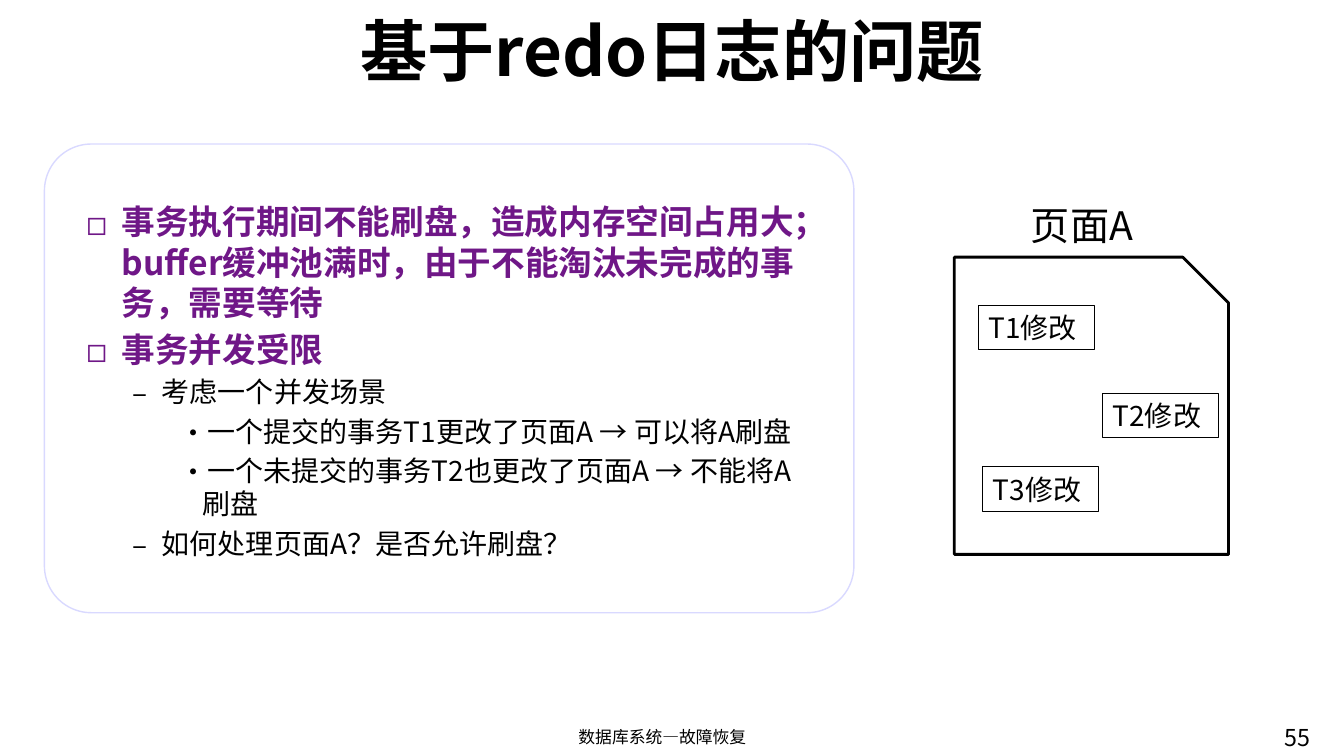
from dataclasses import dataclass
from typing import NamedTuple, Optional

from lxml.etree import SubElement
from pptx import Presentation
from pptx.dml.color import RGBColor
from pptx.enum.shapes import MSO_SHAPE
from pptx.enum.text import MSO_ANCHOR, PP_ALIGN
from pptx.oxml.ns import qn
from pptx.util import Cm, Pt


@dataclass(frozen=True)
class Theme:
    font: str = "Noto Sans CJK SC"
    black: RGBColor = RGBColor(0x00, 0x00, 0x00)
    white: RGBColor = RGBColor(0xFF, 0xFF, 0xFF)
    purple: RGBColor = RGBColor(0x6F, 0x17, 0x87)
    lavender: RGBColor = RGBColor(0xD9, 0xD9, 0xFF)
    title: float = 48
    label: float = 28
    point: float = 24
    body: float = 20
    number: float = 16.6
    footer: float = 12


THEME = Theme()


class Area(NamedTuple):
    left: float
    top: float
    width: float
    height: float

    def lengths(self) -> list[Cm]:
        return [Cm(value) for value in self]


@dataclass(frozen=True)
class Caption:
    text: str
    area: Area
    size: float
    bold: bool = False
    align: PP_ALIGN = PP_ALIGN.LEFT
    anchor: MSO_ANCHOR = MSO_ANCHOR.TOP


@dataclass(frozen=True)
class Level:
    bullet: str
    margin: float
    hanging: float
    size: float
    color: RGBColor
    bold: bool = False


@dataclass(frozen=True)
class Change:
    transaction: str
    left: float
    top: float


LEVELS = [
    Level("◻", 0.89, 0.89, THEME.point, THEME.purple, True),
    Level("–", 1.9, 0.74, THEME.body, THEME.black),
    Level("•", 2.92, 0.58, THEME.body, THEME.black),
]
POINTS = [
    (0, "事务执行期间不能刷盘，造成内存空间占用大；buffer缓冲池满时，由于不能淘汰未完成的事务，需要等待"),
    (0, "事务并发受限"),
    (1, "考虑一个并发场景"),
    (2, "一个提交的事务T1更改了页面A → 可以将A刷盘"),
    (2, "一个未提交的事务T2也更改了页面A → 不能将A刷盘"),
    (1, "如何处理页面A？是否允许刷盘？"),
]
CAPTIONS = [
    Caption("基于redo日志的问题", Area(2.92, 0.3, 28.04, 1.88), THEME.title,
            True, PP_ALIGN.CENTER, MSO_ANCHOR.MIDDLE),
    Caption("页面A", Area(25.73, 4.95, 4.09, 1.45), THEME.label),
    Caption("数据库系统—故障恢复", Area(11.35, 18.19, 10.69, 0.86), THEME.footer,
            align=PP_ALIGN.CENTER),
    Caption("55", Area(32.13, 18.11, 1.7, 0.9), THEME.number),
]
CHANGES = [Change("T1", 24.66, 7.7), Change("T2", 27.79, 9.91), Change("T3", 24.77, 11.76)]
CHANGE_WIDTH, CHANGE_HEIGHT = 2.92, 1.12
BODY_AREA = Area(1.93, 4.95, 18.77, 13.89)
PANEL_AREA = Area(1.12, 3.63, 20.4, 11.81)
PAGE_AREA = Area(24.05, 6.48, 6.91, 7.49)


def add_span(para, text: str, size: float, color: RGBColor = THEME.black,
             bold: bool = False) -> None:
    span = para.add_run()
    span.text = text
    span.font.name = THEME.font
    span.font.size = Pt(size)
    span.font.bold = bold
    span.font.color.rgb = color
    # East Asian glyphs take their font from a separate element.
    SubElement(span.font._element, qn("a:ea"), typeface=THEME.font)


def add_shape(page, kind: MSO_SHAPE, area: Area, line: RGBColor, weight: float,
              fill: Optional[RGBColor] = None):
    shape = page.shapes.add_shape(kind, *area.lengths())
    shape.shadow.inherit = False
    if fill is None:
        shape.fill.background()
    else:
        shape.fill.solid()
        shape.fill.fore_color.rgb = fill
    shape.line.color.rgb = line
    shape.line.width = Pt(weight)
    return shape


def add_caption(page, caption: Caption) -> None:
    box = page.shapes.add_textbox(*caption.area.lengths())
    box.text_frame.word_wrap = True
    box.text_frame.vertical_anchor = caption.anchor
    para = box.text_frame.paragraphs[0]
    para.alignment = caption.align
    add_span(para, caption.text, caption.size, bold=caption.bold)


def set_bullet(para, level: Level) -> None:
    properties = para._p.get_or_add_pPr()
    properties.set("marL", str(int(Cm(level.margin))))
    properties.set("indent", str(-int(Cm(level.hanging))))
    SubElement(properties, qn("a:buFont"), typeface=THEME.font)
    SubElement(properties, qn("a:buChar"), char=level.bullet)


def add_points(page) -> None:
    box = page.shapes.add_textbox(*BODY_AREA.lengths())
    frame = box.text_frame
    frame.word_wrap = True
    for index, (depth, text) in enumerate(POINTS):
        level = LEVELS[depth]
        para = frame.add_paragraph() if index else frame.paragraphs[0]
        para.level = depth
        set_bullet(para, level)
        if index:
            para.space_before = Pt(level.size * 0.2)
        add_span(para, text, level.size, level.color, level.bold)


def add_change(page, change: Change) -> None:
    area = Area(change.left, change.top, CHANGE_WIDTH, CHANGE_HEIGHT)
    box = add_shape(page, MSO_SHAPE.RECTANGLE, area, THEME.black, 0.75)
    box.text_frame.word_wrap = False
    box.text_frame.vertical_anchor = MSO_ANCHOR.MIDDLE
    para = box.text_frame.paragraphs[0]
    para.alignment = PP_ALIGN.LEFT
    add_span(para, f"{change.transaction}修改", THEME.body)


def main() -> None:
    deck = Presentation()
    deck.slide_width, deck.slide_height = Cm(33.87), Cm(19.05)
    page = deck.slides.add_slide(deck.slide_layouts[6])
    panel = add_shape(page, MSO_SHAPE.ROUNDED_RECTANGLE, PANEL_AREA, THEME.lavender, 1,
                      THEME.white)
    panel.adjustments[0] = 0.1
    add_shape(page, MSO_SHAPE.SNIP_1_RECTANGLE, PAGE_AREA, THEME.black, 2, THEME.white)
    for caption in CAPTIONS:
        add_caption(page, caption)
    add_points(page)
    for change in CHANGES:
        add_change(page, change)
    deck.save("out.pptx")


if __name__ == "__main__":
    main()
